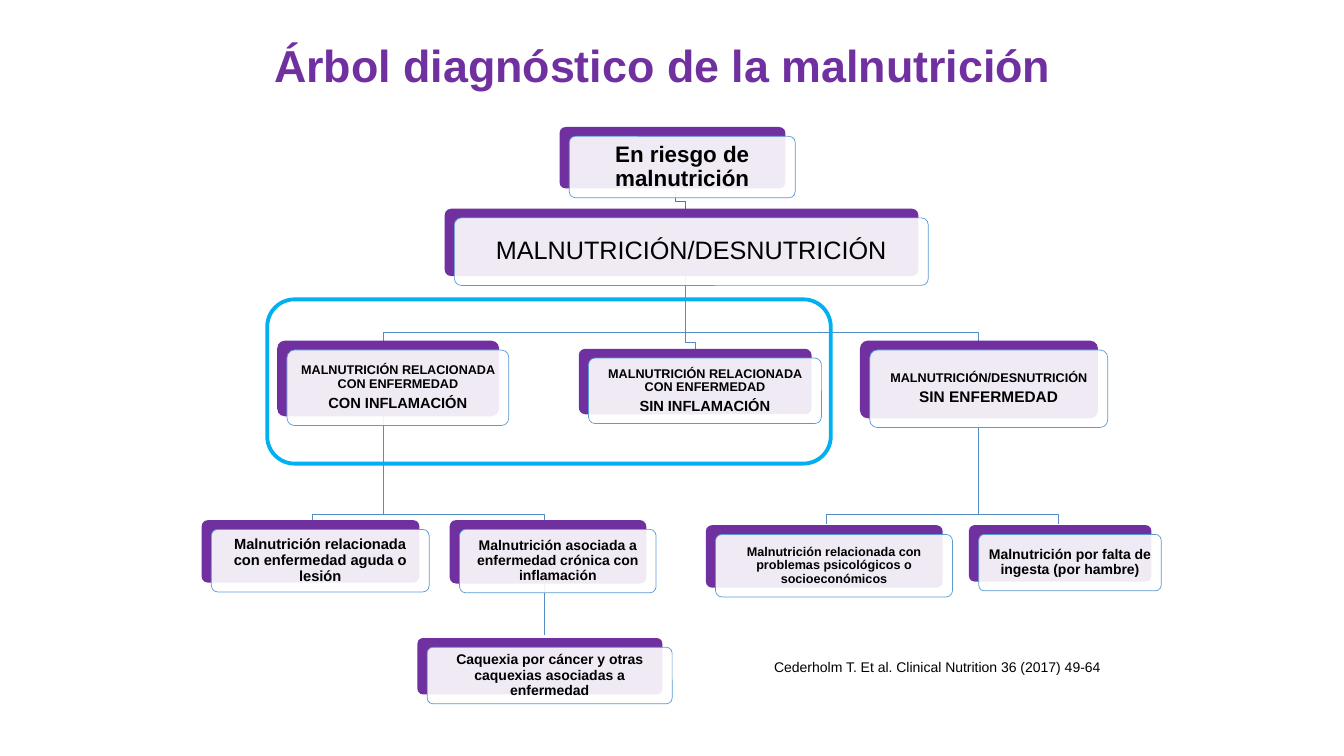
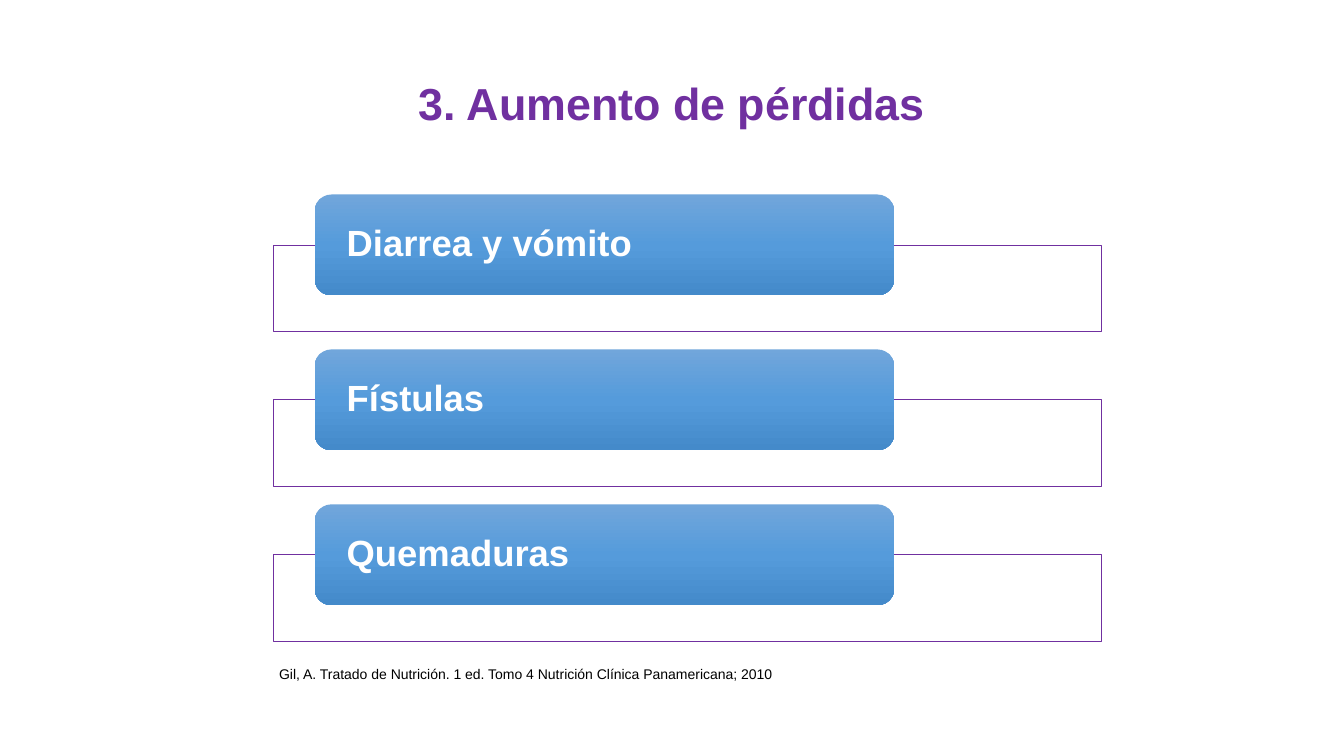
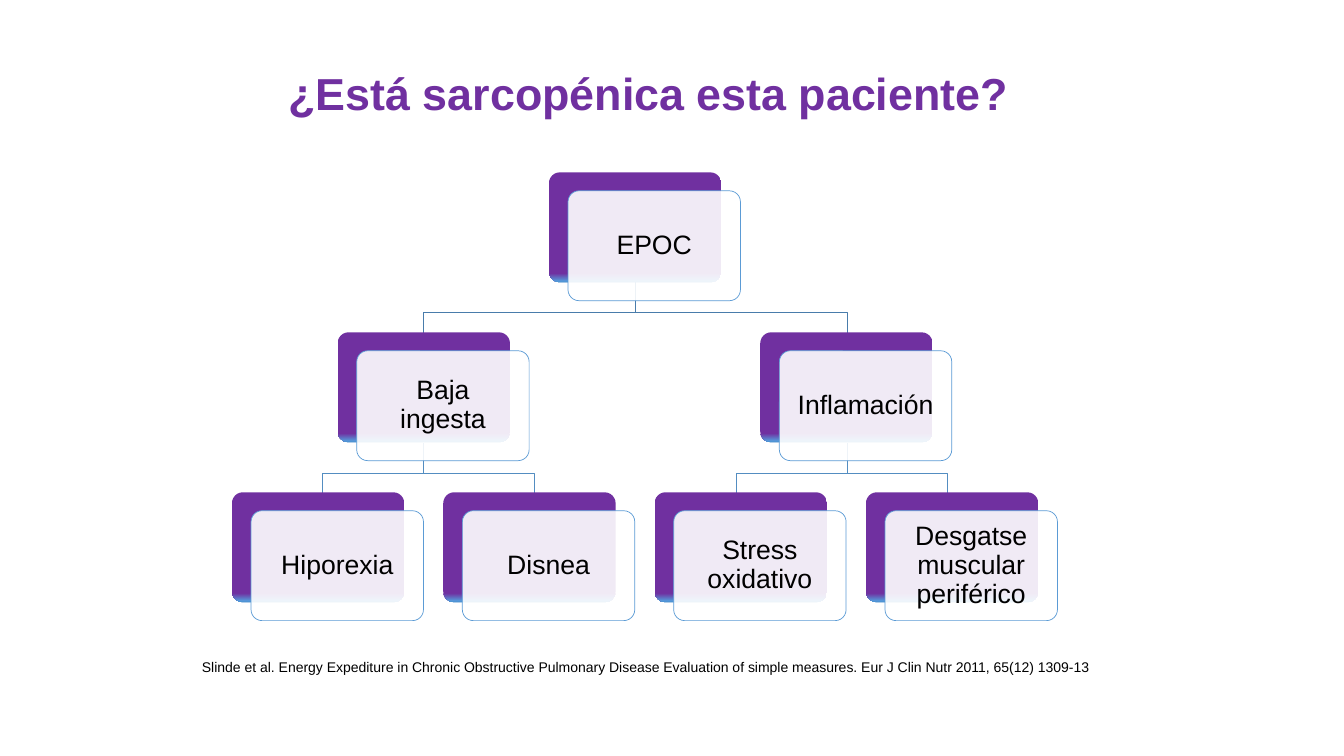
from copy import deepcopy
from pptx import Presentation
from pptx.dml.color import RGBColor
from pptx.enum.shapes import MSO_SHAPE
from pptx.enum.text import MSO_ANCHOR, MSO_AUTO_SIZE, PP_ALIGN
from pptx.oxml import parse_xml
from pptx.oxml.ns import qn, nsdecls
from pptx.util import Inches, Pt

PURPLE = RGBColor(0x70, 0x30, 0xA0)
WHITE = RGBColor(0xFF, 0xFF, 0xFF)
BLACK = RGBColor(0, 0, 0)
EDGE = RGBColor(0x5B, 0x9B, 0xD5)
LINK = RGBColor(0x53, 0x8D, 0xC1)
ROOT = RGBColor(0x49, 0x7C, 0xAB)
FRAME = RGBColor(0x00, 0xB0, 0xF0)
SKY = RGBColor(0x71, 0xA6, 0xDB)
BLUE = RGBColor(0x55, 0x9B, 0xDB)
DEEP = RGBColor(0x44, 0x8A, 0xCA)
FONT = "Arial"

deck = Presentation()
deck.slide_width, deck.slide_height = Inches(13.33), Inches(7.5)
# Square grid: 75 rows fill the height of the slide
CELL = deck.slide_height / 75


def block(slide, kind, spot, fill=None, edge=None, weight=0.5, clear=False):
    """Add a shape; fill is a colour, a list of gradient stops or None."""
    shape = slide.shapes.add_shape(kind, *[round(n * CELL) for n in spot])
    shape.shadow.inherit = False
    if fill is None:
        shape.fill.background()
    elif isinstance(fill, list):
        shape.fill.gradient()
        shape.fill.gradient_angle = 270
        stops = shape.element.find(".//" + qn("a:gsLst"))
        stops.append(deepcopy(stops[-1]))
        for stop, (place, tone) in zip(shape.fill.gradient_stops, fill):
            stop.position = place
            stop.color.rgb = tone
    else:
        shape.fill.solid()
        shape.fill.fore_color.rgb = fill
        if clear:
            tone = shape.element.spPr.find(".//" + qn("a:srgbClr"))
            tone.append(parse_xml(f'<a:alpha {nsdecls("a")} val="90000"/>'))
    if edge is None:
        shape.line.fill.background()
    else:
        shape.line.color.rgb = edge
        shape.line.width = Pt(weight)
    return shape


def write(shape, lines, tone=BLACK, bold=False, align=PP_ALIGN.CENTER,
          anchor=MSO_ANCHOR.MIDDLE, pad=(1, 0.5), space=0.9):
    """Fill a shape with (text, size) lines."""
    frame = shape.text_frame
    frame.word_wrap = True
    frame.auto_size = MSO_AUTO_SIZE.NONE
    frame.vertical_anchor = anchor
    frame.margin_left = frame.margin_right = round(pad[0] * CELL)
    frame.margin_top = frame.margin_bottom = round(pad[1] * CELL)
    for i, (text, size) in enumerate(lines):
        para = frame.add_paragraph() if i else frame.paragraphs[0]
        para.text = text
        para.alignment = align
        para.line_spacing = space
        if i:
            para.space_before = Pt(3)
        font = para.font
        font.name, font.size, font.bold = FONT, Pt(size), bold
        font.color.rgb = tone


# Slides and titles: text, left, top, line spacing
slides = []
for text, left, top, space in [
    ("Árbol diagnóstico de la malnutrición", -0.9, 3.2, 1),
    ("3. Aumento de pérdidas", 0, 7.6, 0.9),
    ("¿Está sarcopénica esta paciente?", -2.3, 6, 1),
]:
    slide = deck.slides.add_slide(deck.slide_layouts[5])
    title = slide.shapes.title
    title.left, title.top = round(left * CELL), round(top * CELL)
    title.width, title.height = deck.slide_width, round(6.4 * CELL)
    write(title, [(text, 32)], PURPLE, True, anchor=MSO_ANCHOR.TOP, space=space)
    slides.append(slide)

# Diagnosis tree: left, top, width, height, parent, bold, lines
ILL = ("MALNUTRICIÓN RELACIONADA CON ENFERMEDAD", 9)
causes = [
    (55.5, 12.6, 22.4, 6.1, None, True, [("En riesgo de malnutrición", 16)]),
    (44.1, 20.7, 47, 6.7, 0, False, [("MALNUTRICIÓN/DESNUTRICIÓN", 18)]),
    (27.5, 33.8, 22, 7.5, 1, True, [ILL, ("CON INFLAMACIÓN", 10.5)]),
    (20, 51.6, 21.6, 6.2, 2, True,
     [("Malnutrición relacionada con enfermedad aguda o lesión", 10.5)]),
    (44.6, 51.6, 19.5, 6.3, 2, True,
     [("Malnutrición asociada a enfermedad crónica con inflamación", 10)]),
    (41.4, 63.3, 24.3, 5.6, 4, True,
     [("Caquexia por cáncer y otras caquexias asociadas a enfermedad", 10)]),
    (57.4, 34.6, 23.1, 6.5, 1, True, [ILL, ("SIN INFLAMACIÓN", 10.5)]),
    (85.3, 33.8, 23.6, 7.7, 1, True,
     [("MALNUTRICIÓN/DESNUTRICIÓN", 9), ("SIN ENFERMEDAD", 11)]),
    (70, 52.1, 23.5, 6.2, 7, True,
     [("Malnutrición relacionada con problemas psicológicos o socioeconómicos", 9)]),
    (96.1, 52.1, 18.1, 5.6, 7, True,
     [("Malnutrición por falta de ingesta (por hambre)", 10)]),
]

# Sarcopenia tree: half-step columns and even rows
signs = [
    (23 + 10.48 * col, 17.1 + 15.87 * row, 17.1, 10.9, parent, False, [(text, 19)])
    for col, row, parent, text in [
        (3, 0, None, "EPOC"),
        (1, 1, 0, "Baja ingesta"),
        (0, 2, 1, "Hiporexia"),
        (2, 2, 1, "Disnea"),
        (5, 1, 0, "Inflamación"),
        (4, 2, 4, "Stress oxidativo"),
        (6, 2, 4, "Desgatse muscular periférico"),
    ]
]
FADE = [(0.92, PURPLE), (0.99, BLUE), (1, DEEP)]

# Draw both trees: links first, then each box with its offset label
for slide, nodes, fill, dx, dy, bend, pad in [
    (slides[0], causes, PURPLE, 0.97, 0.92, 0.8, 0.6),
    (slides[2], signs, FADE, 1.9, 1.83, 1.6, 1),
]:
    for x, y, w, h, parent, *rest in nodes:
        if parent is None:
            continue
        px, py, pw, ph = nodes[parent][:4]
        start, end = px + pw / 2, x + w / 2
        pen = slide.shapes.build_freeform(start, py + ph, scale=CELL)
        pen.add_line_segments(
            [(start, y - bend), (end, y - bend), (end, y)], close=False)
        link = pen.convert_to_shape()
        link.shadow.inherit = False
        link.fill.background()
        link.line.color.rgb = LINK if parent else ROOT
        link.line.width = Pt(0.5)
    for x, y, w, h, parent, bold, lines in nodes:
        back = block(slide, MSO_SHAPE.ROUNDED_RECTANGLE, (x, y, w, h), fill)
        front = block(slide, MSO_SHAPE.ROUNDED_RECTANGLE,
                      (x + dx, y + dy, w, h), WHITE, EDGE, clear=True)
        back.adjustments[0] = front.adjustments[0] = 0.1
        write(front, lines, bold=bold, pad=(pad, pad))

# Frame around the disease-related group
block(slides[0], MSO_SHAPE.ROUNDED_RECTANGLE, (26.5, 29.7, 55.9, 16.3),
      edge=FRAME, weight=2.75)

# Loss cards
GLOSS = [(0, SKY), (0.5, BLUE), (1, DEEP)]
for i, text in enumerate(["Diarrea y vómito", "Fístulas", "Quemaduras"]):
    top = 19.3 + 15.37 * i
    block(slides[1], MSO_SHAPE.RECTANGLE, (27.1, top + 5, 82.1, 8.6),
          WHITE, PURPLE, clear=True)
    card = block(slides[1], MSO_SHAPE.ROUNDED_RECTANGLE,
                 (31.2, top, 57.5, 10), GLOSS)
    write(card, [(text, 26)], WHITE, True, PP_ALIGN.LEFT, pad=(2.7, 0))

# Sources
for slide, x, y, w, align, text in [
    (slides[0], 75.8, 64.8, 35.4, PP_ALIGN.LEFT,
     "Cederholm T. Et al. Clinical Nutrition 36 (2017) 49-64"),
    (slides[1], 26.7, 65.5, 66.7, PP_ALIGN.LEFT,
     "Gil, A. Tratado de Nutrición. 1 ed. Tomo 4 Nutrición Clínica Panamericana; 2010"),
    (slides[2], 18, 64.8, 92, PP_ALIGN.CENTER,
     "Slinde et al. Energy Expediture in Chronic Obstructive Pulmonary Disease "
     "Evaluation of simple measures. Eur J Clin Nutr 2011, 65(12) 1309-13"),
]:
    note = slide.shapes.add_textbox(*[round(n * CELL) for n in (x, y, w, 2.7)])
    write(note, [(text, 10)], align=align, anchor=MSO_ANCHOR.TOP, space=1)

deck.save("out.pptx")
